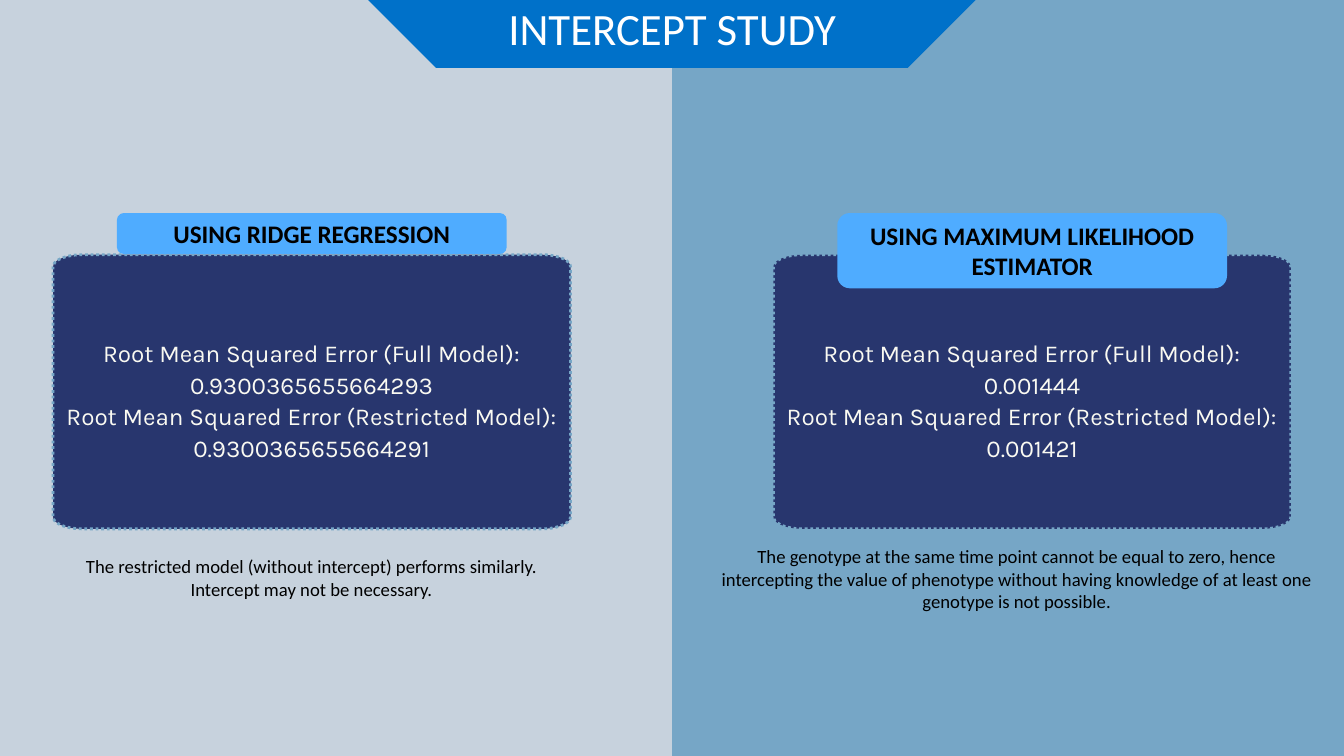
from math import cos, radians, sin

from pptx import Presentation
from pptx.dml.color import RGBColor
from pptx.enum.dml import MSO_LINE
from pptx.enum.shapes import MSO_SHAPE
from pptx.enum.text import MSO_ANCHOR, PP_ALIGN
from pptx.util import Inches, Pt

PALE_GREY = RGBColor(0xC7, 0xD2, 0xDD)
STEEL_BLUE = RGBColor(0x76, 0xA6, 0xC6)
TITLE_BLUE = RGBColor(0x00, 0x71, 0xC9)
NAVY = RGBColor(0x28, 0x36, 0x6E)
SKY_BLUE = RGBColor(0x4F, 0xAC, 0xFF)
IVORY = RGBColor(0xFA, 0xFA, 0xF2)
WHITE = RGBColor(0xFF, 0xFF, 0xFF)
BLACK = RGBColor(0x00, 0x00, 0x00)

TITLE_FONT = {"name": "Calibri", "size": Pt(48), "color": WHITE}
LABEL_FONT = {"name": "Calibri", "size": Pt(27), "bold": True, "color": BLACK}
RESULT_FONT = {"name": "Karla", "size": Pt(26), "color": IVORY}
NOTE_FONT = {"name": "Calibri", "size": Pt(20), "color": BLACK}

PANEL_TOP, PANEL_WIDTH, PANEL_HEIGHT = 3.79, 7.7, 4.08
LABEL_TOP, LABEL_WIDTH = 3.17, 5.8

STUDIES = [
    {
        "left": 0.79,
        "label": "USING RIDGE REGRESSION",
        "label_height": 0.61,
        "results": [
            "Root Mean Squared Error (Full Model): 0.9300365655664293",
            "Root Mean Squared Error (Restricted Model): 0.9300365655664291",
        ],
        "note": "The restricted model (without intercept) performs similarly. "
                "Intercept may not be necessary.",
        "note_area": (1.08, 8.21, 7.11, 0.77),
    },
    {
        "left": 11.51,
        "label": "USING MAXIMUM LIKELIHOOD ESTIMATOR",
        "label_height": 1.12,
        "results": [
            "Root Mean Squared Error (Full Model): 0.001444",
            "Root Mean Squared Error (Restricted Model):",
            "0.001421",
        ],
        "note": "The genotype at the same time point cannot be equal to zero, "
                "hence intercepting the value of phenotype without having "
                "knowledge of at least one genotype is not possible.",
        "note_area": (10.48, 8.06, 9.3, 1.11),
    },
]


def rounded_outline(left, top, width, height, radius_x=0.43, radius_y=0.18):
    """Return the points of a rectangle with elliptical corners."""
    centre_x, centre_y = left + width / 2, top + height / 2
    reach_x, reach_y = width / 2 - radius_x, height / 2 - radius_y
    corners = [(1, 1, 0), (-1, 1, 90), (-1, -1, 180), (1, -1, 270)]
    return [
        (centre_x + side_x * reach_x + radius_x * cos(radians(angle)),
         centre_y + side_y * reach_y + radius_y * sin(radians(angle)))
        for side_x, side_y, start in corners
        for angle in range(start, start + 91, 10)
    ]


class SlideBuilder:
    def __init__(self, slide):
        self.shapes = slide.shapes

    def paint(self, shape, fill):
        shape.shadow.inherit = False
        shape.fill.solid()
        shape.fill.fore_color.rgb = fill
        shape.line.fill.background()
        return shape

    def preset(self, kind, area, fill):
        return self.paint(self.shapes.add_shape(kind, *map(Inches, area)), fill)

    def outline(self, points, fill):
        start, *others = [(Inches(x), Inches(y)) for x, y in points]
        builder = self.shapes.build_freeform(*start)
        builder.add_line_segments(others, close=True)
        return self.paint(builder.convert_to_shape(), fill)

    def fill_text(self, frame, lines, font, line_spacing=None):
        frame.word_wrap = True
        for index, line in enumerate(lines):
            para = frame.add_paragraph() if index else frame.paragraphs[0]
            para.alignment = PP_ALIGN.CENTER
            para.line_spacing = line_spacing
            span = para.add_run()
            span.text = line
            for name, value in font.items():
                if name == "color":
                    span.font.color.rgb = value
                else:
                    setattr(span.font, name, value)

    def text(self, area, lines, font, line_spacing=None):
        box = self.shapes.add_textbox(*map(Inches, area))
        self.fill_text(box.text_frame, lines, font, line_spacing)
        return box

    def panel(self, left):
        points = rounded_outline(left, PANEL_TOP, PANEL_WIDTH, PANEL_HEIGHT)
        panel = self.outline(points, NAVY)
        panel.line.color.rgb = STEEL_BLUE
        panel.line.width = Pt(3)
        panel.line.dash_style = MSO_LINE.ROUND_DOT

    def results(self, left, lines):
        box = self.text((left, 5, PANEL_WIDTH, 1.89), lines, RESULT_FONT, Pt(33.8))
        for side in ("left", "top", "right", "bottom"):
            setattr(box.text_frame, f"margin_{side}", 0)

    def label(self, left, height, text):
        area = (left, LABEL_TOP, LABEL_WIDTH, height)
        label = self.preset(MSO_SHAPE.ROUNDED_RECTANGLE, area, SKY_BLUE)
        label.text_frame.vertical_anchor = MSO_ANCHOR.MIDDLE
        self.fill_text(label.text_frame, [text], LABEL_FONT)

    def study(self, study):
        left = study["left"]
        self.panel(left)
        self.results(left, study["results"])
        label_left = left + (PANEL_WIDTH - LABEL_WIDTH) / 2
        self.label(label_left, study["label_height"], study["label"])
        self.text(study["note_area"], [study["note"]], NOTE_FONT)


def main():
    deck = Presentation()
    deck.slide_width, deck.slide_height = Inches(20), Inches(11.25)
    page = SlideBuilder(deck.slides.add_slide(deck.slide_layouts[6]))

    for left, fill in ((10, STEEL_BLUE), (0, PALE_GREY)):
        page.preset(MSO_SHAPE.RECTANGLE, (left, 0, 10, 11.25), fill)
    banner = [(5.48, 0), (14.52, 0), (13.51, 1.01), (6.49, 1.01)]
    page.outline(banner, TITLE_BLUE)
    page.text((6.12, -0.04, 7.77, 0.91), ["INTERCEPT STUDY"], TITLE_FONT)
    for study in STUDIES:
        page.study(study)

    deck.save("out.pptx")


if __name__ == "__main__":
    main()
